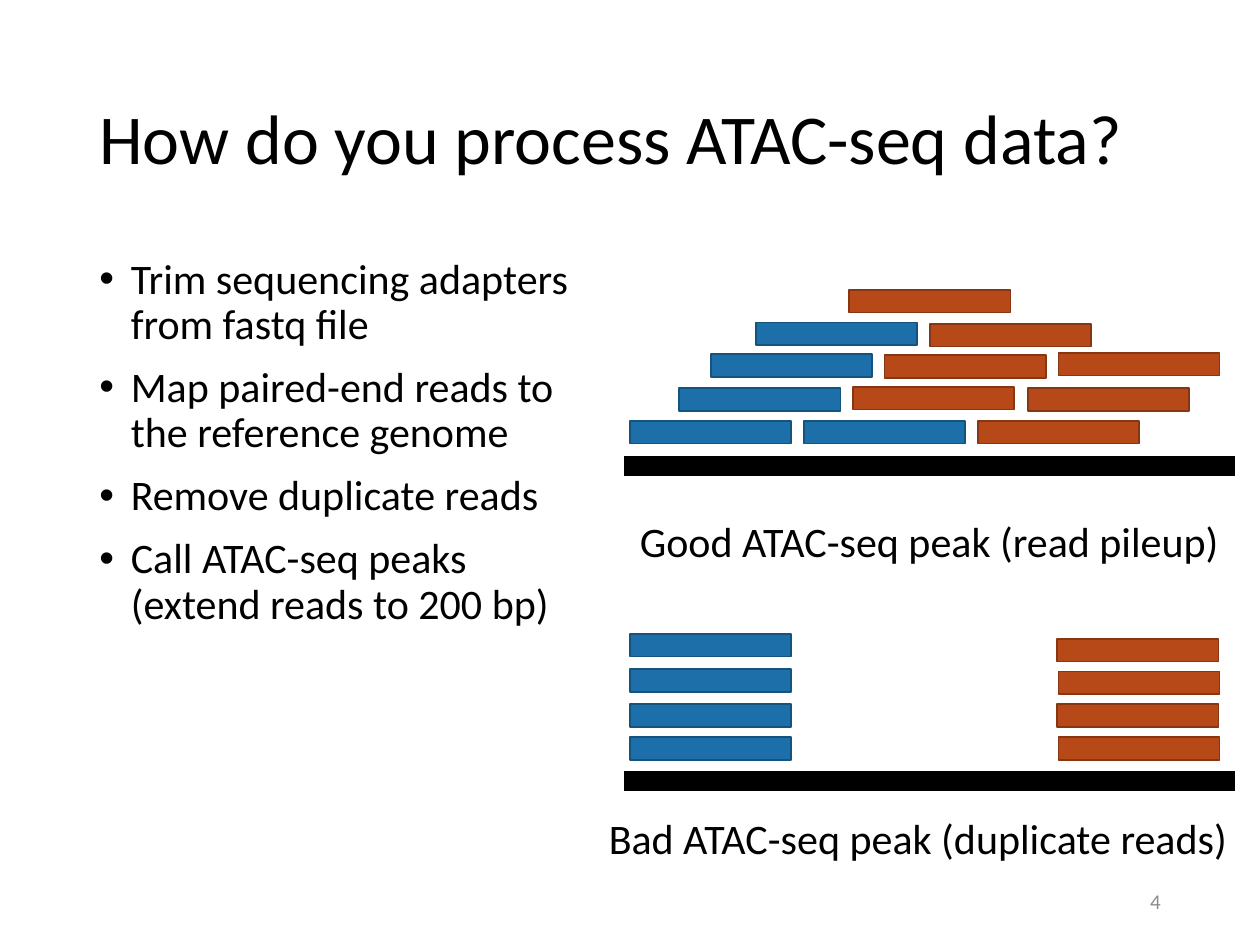
from pptx import Presentation
from pptx.dml.color import RGBColor as RGB
from pptx.enum.shapes import MSO_SHAPE as Shape
from pptx.enum.text import MSO_ANCHOR as Anchor, PP_ALIGN as Align
from pptx.util import Inches, Pt
from lxml.etree import SubElement

BLACK = RGB(0x00, 0x00, 0x00)
WHITE = RGB(0xFF, 0xFF, 0xFF)
GREY = RGB(0x8C, 0x8C, 0x8C)
BLUE = RGB(0x1D, 0x6F, 0xA9)
NAVY = RGB(0x15, 0x52, 0x7D)
RUST = RGB(0xB7, 0x49, 0x19)
BROWN = RGB(0x87, 0x36, 0x12)

FONT = "Calibri"
READ_W, BAR_H = 1.28, 0.18
NS = "{http://schemas.openxmlformats.org/drawingml/2006/main}"

STEPS = [
    "Trim sequencing adapters from fastq file",
    "Map paired-end reads to the reference genome",
    "Remove duplicate reads",
    "Call ATAC-seq peaks (extend reads to 200 bp)",
]

# Left and top of each read
GOOD_BLUE = [(5, 3.34), (6.38, 3.34), (5.39, 3.08), (5.64, 2.81), (6, 2.56)]
GOOD_RUST = [(7.76, 3.34), (6.77, 3.07), (8.16, 3.08), (7.02, 2.82),
             (8.4, 2.8), (7.38, 2.57), (6.74, 2.3)]
BAD_BLUE = [(5, top) for top in (5.03, 5.31, 5.59, 5.85)]
BAD_RUST = [(8.39, 5.07), (8.4, 5.33), (8.39, 5.59), (8.4, 5.85)]


def add_text(slide, box, lines, size, color=BLACK, align=Align.LEFT,
             anchor=Anchor.TOP):
    frame = slide.shapes.add_textbox(*map(Inches, box)).text_frame
    frame.word_wrap = True
    frame.vertical_anchor = anchor
    for i, line in enumerate(lines):
        para = frame.add_paragraph() if i else frame.paragraphs[0]
        para.alignment = align
        run = para.add_run()
        run.text = line
        run.font.name = FONT
        run.font.size = Pt(size)
        run.font.color.rgb = color
    return frame


def add_list(slide, box, lines):
    for para in add_text(slide, box, lines, 24).paragraphs:
        para.line_spacing = 0.9
        para.space_before = Pt(10)
        props = para._p.get_or_add_pPr()
        props.set("marL", str(Inches(0.25)))
        props.set("indent", str(-Inches(0.25)))
        SubElement(props, NS + "buFont", typeface="Arial")
        SubElement(props, NS + "buChar", char="•")


def add_bar(group, left, top, width, fill, edge, weight):
    bar = group.shapes.add_shape(
        Shape.RECTANGLE, *map(Inches, (left, top, width, BAR_H)))
    bar.shadow.inherit = False
    bar.fill.solid()
    bar.fill.fore_color.rgb = fill
    bar.line.color.rgb = edge
    bar.line.width = Pt(weight)


def add_peak(slide, blues, rusts, base):
    group = slide.shapes.add_group_shape()
    for spots, fill, edge in ((blues, BLUE, NAVY), (rusts, RUST, BROWN)):
        for left, top in spots:
            add_bar(group, left, top, READ_W, fill, edge, 1)
    # Genome line under the reads
    add_bar(group, 4.94, base, 4.87, BLACK, WHITE, 1.5)


def main():
    deck = Presentation()
    deck.slide_width, deck.slide_height = Inches(10), Inches(7.5)
    slide = deck.slides.add_slide(deck.slide_layouts[6])

    # Title, steps and page number
    title = add_text(slide, (0.69, 0.4, 8.62, 1.45),
                     ["How do you process ATAC-seq data?"], 40,
                     anchor=Anchor.MIDDLE)
    title.paragraphs[0].line_spacing = 0.9
    add_list(slide, (0.69, 2, 3.93, 4.76), STEPS)
    add_text(slide, (7.06, 6.95, 2.25, 0.4), ["4"], 12, GREY,
             Align.RIGHT, Anchor.MIDDLE)

    # Good peak
    add_peak(slide, GOOD_BLUE, GOOD_RUST, 3.61)
    add_text(slide, (4.8, 4.04, 5.15, 0.5),
             ["Good ATAC-seq peak (read pileup)"], 24, align=Align.CENTER)

    # Bad peak
    add_peak(slide, BAD_BLUE, BAD_RUST, 6.11)
    add_text(slide, (4.71, 6.4, 5.15, 0.5),
             ["Bad ATAC-seq peak (duplicate reads)"], 24, align=Align.CENTER)

    deck.save("out.pptx")


if __name__ == "__main__":
    main()
